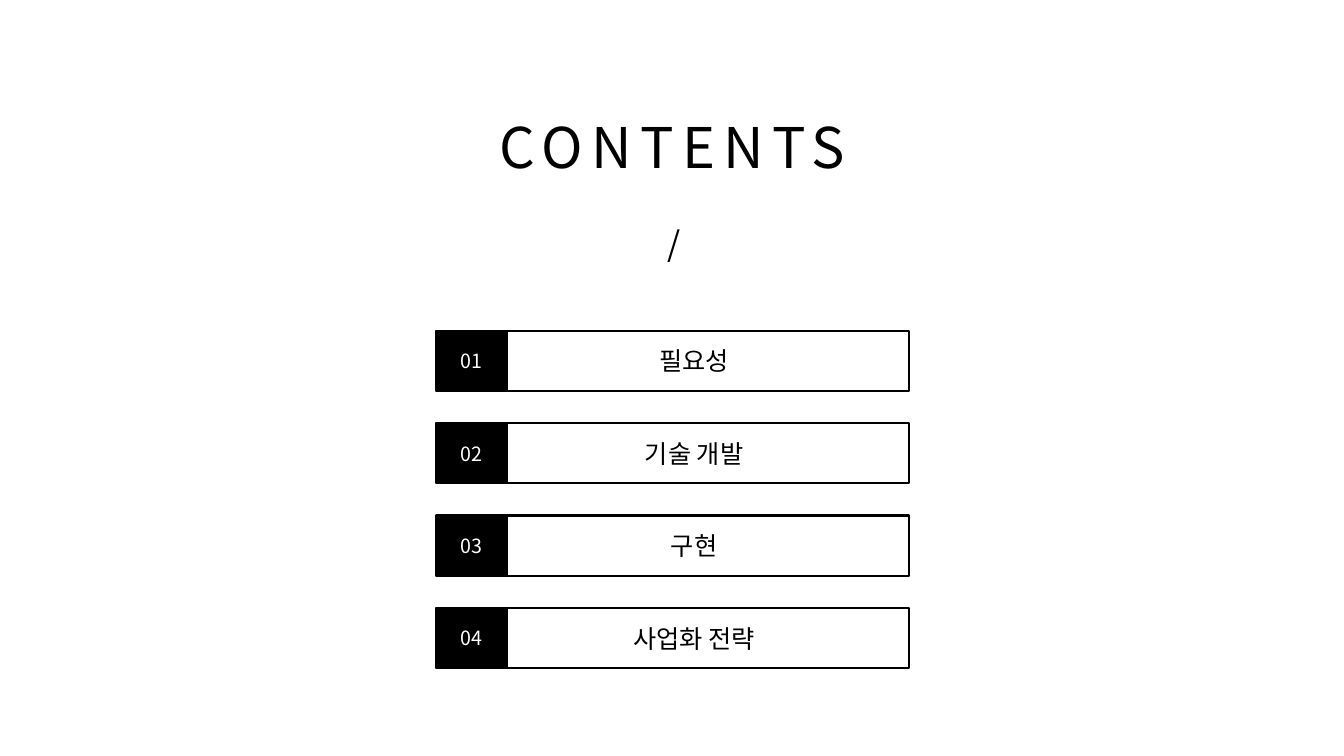
from pptx import Presentation
from pptx.dml.color import RGBColor
from pptx.enum.shapes import MSO_SHAPE
from pptx.enum.text import MSO_ANCHOR, MSO_AUTO_SIZE, PP_ALIGN
from pptx.oxml.ns import qn
from pptx.util import Inches, Pt

COLORS = {"ink": "000000", "paper": "FFFFFF"}
FONT = "Noto Sans CJK KR"
ITEMS = ["필요성", "기술 개발", "구현", "사업화 전략"]
ROW_H, ROW_PITCH = 0.6, 0.917
NUMBER_W, LABEL_INSET = 0.71, 0.43


def rgb(name):
    """Return the named palette colour."""
    return RGBColor.from_string(COLORS[name])


def write(sp, text, size, color="ink", align=PP_ALIGN.CENTER, spacing=None):
    """Write one formatted line of text into a shape."""
    p = sp.text_frame.paragraphs[0]
    p.alignment = align
    r = p.add_run()
    r.text = text
    for key, value in {"size": Pt(size), "name": FONT, "bold": False}.items():
        setattr(r.font, key, value)
    r.font.color.rgb = rgb(color)
    rPr = r._r.get_or_add_rPr()
    rPr.makeelement(qn("a:ea"), {})
    ea = rPr.makeelement(qn("a:ea"), {"typeface": FONT})
    rPr.find(qn("a:latin")).addnext(ea)
    if spacing:
        rPr.set("spc", str(spacing * 100))


def fit_frame(sp, wrap):
    """Anchor text at the top and let the shape grow with it."""
    values = {"vertical_anchor": MSO_ANCHOR.TOP, "word_wrap": wrap,
              "auto_size": MSO_AUTO_SIZE.SHAPE_TO_FIT_TEXT}
    for key, value in values.items():
        setattr(sp.text_frame, key, value)


def add_heading(s, x, y, w, h):
    """Place the title and the slash beneath it."""
    title = s.shapes.title
    box = {"left": x, "top": y, "width": w, "height": h}
    for key, value in box.items():
        setattr(title, key, Inches(value))
    fit_frame(title, True)
    write(title, "CONTENTS", 40, spacing=6)
    slash = s.shapes.add_textbox(Inches(x + w / 2 - 0.15), Inches(y + 1.09),
                                 Inches(0.29), Inches(0.5))
    fit_frame(slash, False)
    write(slash, "/", 24, align=PP_ALIGN.LEFT)


def add_box(group, x, y, w, text, size, color, fill=None):
    """Add one outlined row box with centred text."""
    sp = group.shapes.add_shape(MSO_SHAPE.RECTANGLE, Inches(x), Inches(y),
                                Inches(w), Inches(ROW_H))
    sp.shadow.inherit = False
    if fill:
        sp.fill.solid()
        sp.fill.fore_color.rgb = rgb(fill)
    else:
        sp.fill.background()
    sp.line.color.rgb = rgb("ink")
    sp.line.width = Pt(1.5)
    sp.text_frame.vertical_anchor = MSO_ANCHOR.MIDDLE
    write(sp, text, size, color)


def add_contents(s, x, y, w):
    """Stack the numbered contents rows."""
    for i, item in enumerate(ITEMS):
        group = s.shapes.add_group_shape()
        top = y + i * ROW_PITCH
        add_box(group, x + LABEL_INSET, top, w - LABEL_INSET, item, 18, "ink")
        add_box(group, x, top, NUMBER_W, f"{i + 1:02}", 14, "paper", "ink")


def main():
    """Build and save the contents slide."""
    prs = Presentation()
    prs.slide_width, prs.slide_height = Inches(13.33), Inches(7.5)
    s = prs.slides.add_slide(prs.slide_layouts[5])
    s.background.fill.solid()
    s.background.fill.fore_color.rgb = rgb("paper")
    add_heading(s, 3.86, 1.07, 5.62, 0.77)
    add_contents(s, 4.32, 3.28, 4.7)
    prs.save("out.pptx")


if __name__ == "__main__":
    main()
